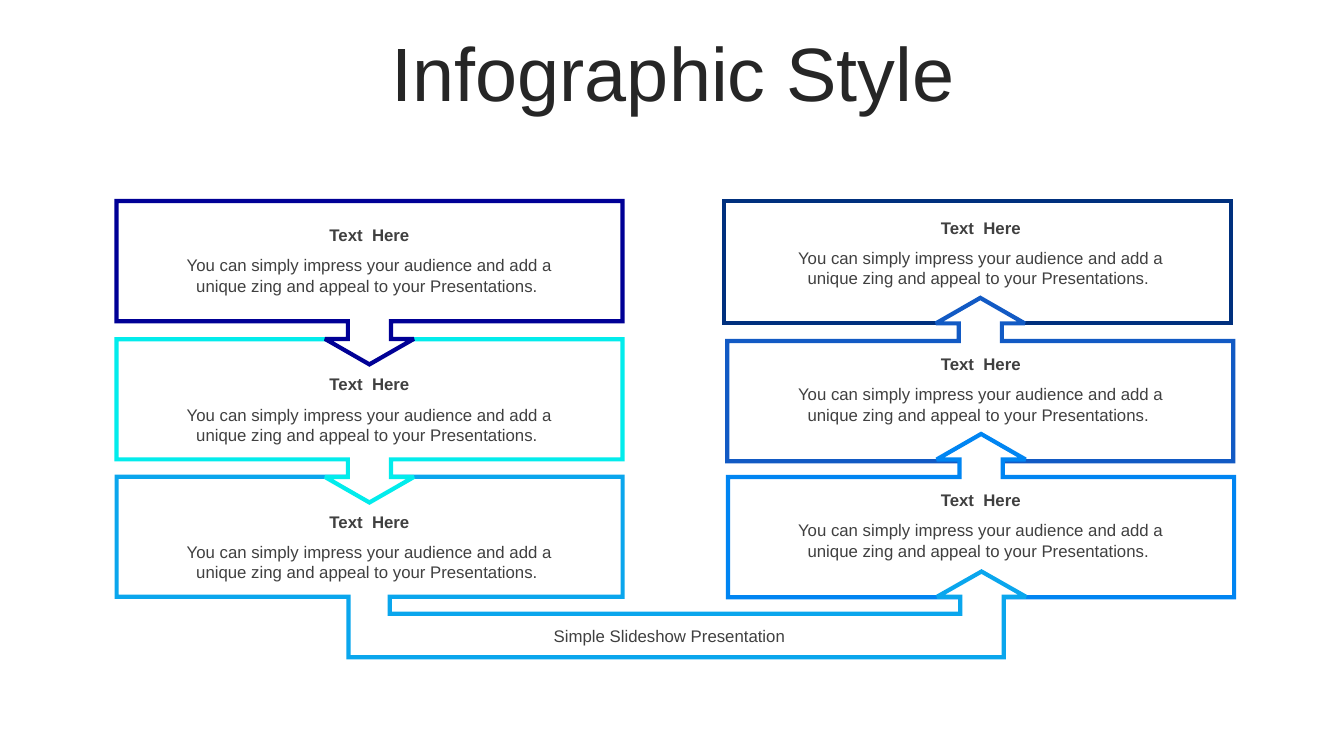
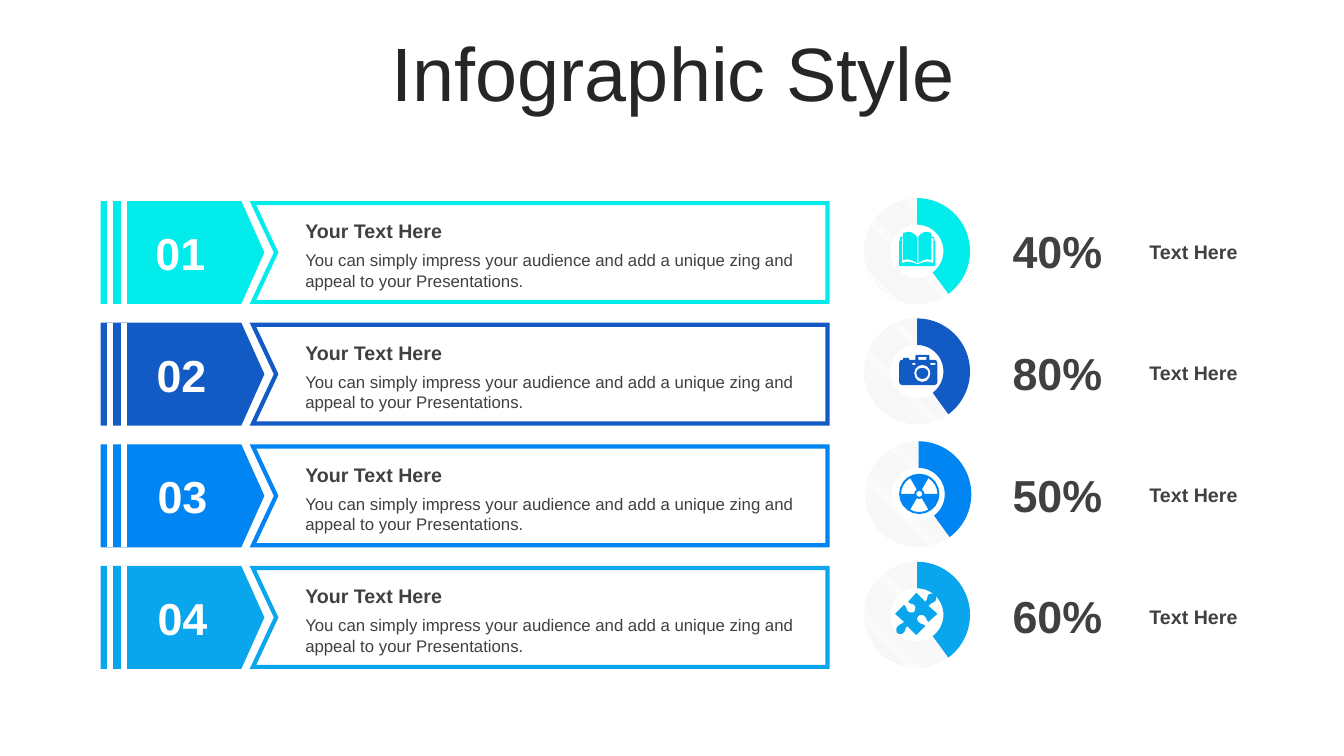
from math import cos, pi, sin

from pptx import Presentation
from pptx.chart.data import CategoryChartData
from pptx.dml.color import RGBColor
from pptx.enum.chart import XL_CHART_TYPE as CHART
from pptx.enum.dml import MSO_PATTERN as PATTERN
from pptx.enum.shapes import MSO_SHAPE as SHAPE
from pptx.enum.text import MSO_ANCHOR as ANCHOR, MSO_AUTO_SIZE as AUTO_SIZE, PP_ALIGN as ALIGN
from pptx.oxml import parse_xml
from pptx.oxml.ns import nsdecls, qn
from pptx.util import Inches, Pt

CELL = Inches(0.1)
COLUMNS, ROWS = 133.33, 75
FONT = "Arial"
TITLE_INK, INK, WHITE, GREY = "262626", "404040", "FFFFFF", "D9D9D9"
NAVY, DEEP, ROYAL, AZURE, SKY, CYAN = "000096", "00307E", "125AC4", "0085F2", "0AA6ED", "02ECEC"

BODY = "You can simply impress your audience and add a unique zing and appeal to your Presentations. "
BOX_WIDTH, CALLOUT_HEIGHT = 50.2, 16.2
LEFT_TEXTS, RIGHT_TEXTS = (21.8, 36.6, 50.25), (21.1, 34.6, 48.1)
BAND_TOP, BAND_PITCH, BAND_HEIGHT = 20.15, 12.07, 9.8

BRIDGE = ("M0 0 L502 0 L502 119 L271 119 L271 136 L837 136 L837 119 L814 119 L858 94 "
          "L902 119 L880 119 L880 179 L230 179 L230 119 L0 119")
BANNER = "M0 0 L570 0 L570 98 L0 98 L23 49"
BOOK = ("M18 32 L19 32 C25 30 27 28 34 31 L34 6 L32 6 L32 28 C28 26 23 28 19 31 L19 5 "
        "C21 2 24 0 27 0 C28 0 30 1 32 1 L32 5 L35 5 L35 9 L36 9 L36 34 L0 34 L0 9 L1 9 "
        "L1 5 L4 5 L4 1 C6 1 8 0 9 0 C13 0 15 2 18 5 L18 31 C13 28 8 26 4 28 L4 6 L3 6 "
        "L3 31 C9 28 12 30 18 32")
CAMERA = ("M23 13 C26 13 29 15 29 18 C29 22 26 24 23 24 C20 24 17 22 17 18 C17 15 20 13 23 13 "
          "M23 10 C18 10 15 14 15 18 C15 23 18 27 23 27 C28 27 31 23 31 18 C31 14 28 10 23 10 "
          "M13 8 L13 10 L16 10 L16 8 M31 8 L31 10 L36 10 L36 8 M19 2 L19 5 L27 5 L27 2 "
          "M17 0 L29 0 L30 1 L30 5 L35 5 C37 5 38 7 38 9 L38 27 C38 28 37 30 35 30 L3 30 "
          "C1 30 0 28 0 27 L0 9 C0 7 1 5 3 5 L4 5 L4 3 L10 3 L10 5 L16 5 L16 1")
PUZZLE = ("M40 2 C41 4 41 6 40 8 C38 11 36 9 33 13 L42 21 L33 29 C30 27 32 25 29 23 "
          "C27 21 25 22 23 23 C22 24 21 27 23 29 C26 32 27 30 30 33 L21 42 L12 33 "
          "C9 36 11 37 9 39 C7 42 4 41 2 40 C1 38 1 35 2 34 C4 31 6 32 9 29 L0 21 L9 12 "
          "C12 15 11 17 13 19 C15 20 18 20 19 19 C20 17 21 14 19 12 C16 10 15 12 13 9 "
          "L21 0 L30 9 C33 6 31 5 33 2 C35 0 38 1 40 2")


def cells(*lengths):
    """Turn grid columns or rows into slide lengths."""
    return [round(length * CELL) for length in lengths]


def rgb(code):
    """Return the colour for a hex string."""
    return RGBColor.from_string(code)


def paint(shape, fill, line=None):
    """Give a shape a flat fill and a mitred 3 pt outline, or none."""
    shape.shadow.inherit = False
    shape.fill.solid()
    shape.fill.fore_color.rgb = rgb(fill)
    if line is None:
        shape.line.fill.background()
        return
    shape.line.color.rgb = rgb(line)
    shape.line.width = Pt(3)
    outline = shape.element.spPr.find(qn("a:ln"))
    outline.append(parse_xml(f'<a:miter {nsdecls("a")} lim="800000"/>'))


def add_block(slide, kind, at, fill, line, adjustments=(), rotation=0):
    """Add a preset shape at a grid position."""
    block = slide.shapes.add_shape(kind, *cells(*at))
    for index, value in enumerate(adjustments):
        block.adjustments[index] = value
    block.rotation = rotation
    paint(block, fill, line)


def curve(start, numbers, steps=3):
    """Sample a cubic curve from its start and six further coordinates."""
    corners = [start, *zip(numbers[::2], numbers[1::2])]
    for step in range(1, steps + 1):
        t = step / steps
        weights = ((1 - t) ** 3, 3 * t * (1 - t) ** 2, 3 * t * t * (1 - t), t ** 3)
        yield tuple(sum(w * c[axis] for w, c in zip(weights, corners)) for axis in (0, 1))


def contours(drawing):
    """Turn a drawing of moves, lines and curves into lists of points."""
    outlines = []
    for contour in drawing.split("M")[1:]:
        points = []
        for part in contour.replace("C", "|C").replace("L", "|").split("|"):
            numbers = [float(number) for number in part.strip("C ").split()]
            points += curve(points[-1], numbers) if part.startswith("C") else [tuple(numbers)]
        outlines.append(points)
    return outlines


def arc(radius, start, end, steps):
    """Return points on an arc about the centre of the trefoil."""
    angles = [start + (end - start) * step / steps for step in range(steps + 1)]
    return [(20 + radius * cos(angle), 20 + radius * sin(angle)) for angle in angles]


def trefoil():
    """Return a disc with a hub and three blades cut out."""
    starts = (pi / 3, pi, 5 * pi / 3)
    blades = [arc(18, a, a + pi / 3, 4) + arc(5, a + pi / 3, a, 2) for a in starts]
    return [arc(20, 0, 2 * pi, 20), arc(3, 0, 2 * pi, 8), *blades]


def add_outline(slide, left, top, outlines, fill, line=None):
    """Draw closed outlines, given in tenths of a cell, from a grid position."""
    placed = [[cells(left + x / 10, top + y / 10) for x, y in points] for points in outlines]
    builder = slide.shapes.build_freeform(*placed[0][0], scale=1.0)
    for index, points in enumerate(placed):
        if index:
            builder.move_to(*points[0])
        builder.add_line_segments(points[1:], close=True)
    paint(builder.convert_to_shape(), fill, line)


def style(frame, size, color, bold=False, align=ALIGN.CENTER, anchor=ANCHOR.TOP):
    """Format the single paragraph of a text frame."""
    frame.word_wrap = True
    frame.auto_size = AUTO_SIZE.NONE
    frame.vertical_anchor = anchor
    paragraph = frame.paragraphs[0]
    paragraph.alignment = align
    font = paragraph.runs[0].font
    font.name, font.size, font.bold = FONT, Pt(size), bold
    font.color.rgb = rgb(color)
    return paragraph


def add_text(slide, at, wording, size=12, color=INK, **look):
    """Add a text box at a grid position."""
    frame = slide.shapes.add_textbox(*cells(*at)).text_frame
    frame.text = wording
    style(frame, size, color, **look)


def add_slide(deck, heading):
    """Add a title-only slide with the shared title style."""
    slide = deck.slides.add_slide(deck.slide_layouts[5])
    title = slide.shapes.title
    title.left, title.top, title.width, title.height = cells(3.5, 3.7, 126.6, 7.9)
    title.text_frame.text = heading
    paragraph = style(title.text_frame, 54, TITLE_INK, anchor=ANCHOR.MIDDLE)
    paragraph.line_spacing = 0.9
    paragraph.space_before = Pt(10)
    return slide


def add_ring(slide, at, color, plot_left, plot_top):
    """Add a doughnut chart with one coloured and one hatched part."""
    shares = CategoryChartData()
    shares.categories = ["1", "2"]
    shares.add_series("Series 1", (40, 60))
    chart = slide.shapes.add_chart(CHART.DOUGHNUT, *cells(*at), shares).chart
    chart.has_legend = chart.has_title = False
    chart.font.name, chart.font.size = FONT, Pt(18)
    chart.font.color.rgb = rgb("000000")
    value, rest = (chart.plots[0].series[0].points[index].format for index in (0, 1))
    value.fill.solid()
    value.fill.fore_color.rgb = rgb(color)
    rest.fill.patterned()
    rest.fill.pattern = PATTERN.LIGHT_DOWNWARD_DIAGONAL
    rest.fill.fore_color.rgb = rgb(GREY)
    rest.fill.back_color.rgb = rgb(WHITE)
    for part in (value, rest):
        part.line.fill.background()
    area = chart.element.find(".//" + qn("c:plotArea"))
    area.find(".//" + qn("c:holeSize")).set("val", "75")
    for layout in area.findall(qn("c:layout")):
        area.remove(layout)
    places = {"x": plot_left, "y": plot_top, "w": 0.976, "h": 0.942}
    settings = '<c:layoutTarget val="inner"/><c:xMode val="edge"/><c:yMode val="edge"/>'
    settings += "".join(f'<c:{key} val="{share}"/>' for key, share in places.items())
    area.insert(0, parse_xml(f'<c:layout {nsdecls("c")}><c:manualLayout>{settings}'
                             '</c:manualLayout></c:layout>'))


def add_callout(slide, left, top, color, rotation=0):
    """Add a white arrow callout with a coloured outline."""
    add_block(slide, SHAPE.DOWN_ARROW_CALLOUT, (left, top, BOX_WIDTH, CALLOUT_HEIGHT),
              WHITE, color, (0.264, 0.272, 0.156, 0.736), rotation)


def build_flow(deck):
    """Build the slide of boxes that lead down, across and up."""
    slide = add_slide(deck, "Infographic Style")
    add_block(slide, SHAPE.RECTANGLE, (71.85, 19.95, 50.3, 12.1), WHITE, DEEP)
    add_callout(slide, 72.15, 29.55, ROYAL, 180)
    add_callout(slide, 72.23, 43.05, AZURE, 180)
    add_outline(slide, 11.57, 47.3, contours(BRIDGE), WHITE, SKY)
    add_callout(slide, 11.55, 33.65, CYAN)
    add_callout(slide, 11.55, 19.95, NAVY)
    for left, tops in ((15.9, LEFT_TEXTS), (76.55, RIGHT_TEXTS)):
        for top in tops:
            add_text(slide, (left, top, 41.5, 3), "Text  Here", bold=True)
            add_text(slide, (left, top + 3.02, 41.5, 5), BODY)
    add_text(slide, (48.6, 61.4, 36.1, 3.3), "Simple Slideshow Presentation ", anchor=ANCHOR.MIDDLE)


def add_band(slide, top, number, color):
    """Add a numbered band with its heading and body."""
    add_outline(slide, 25.1, top, contours(BANNER), WHITE, color)
    add_block(slide, SHAPE.PENTAGON, (10.2, top, 15.8, BAND_HEIGHT), color, color, (0.224,))
    for left in (10.8, 12.2):
        add_block(slide, SHAPE.RECTANGLE, (left, top, 0.2, BAND_HEIGHT), WHITE, WHITE)
    add_text(slide, (13.7 + 0.1 * min(number, 3), top + 2.2, 8.2, 5.4), f"{number:02}", 32, WHITE,
             bold=True, anchor=ANCHOR.MIDDLE)
    add_text(slide, (29.3, top + 1.1, 50.5, 3.4), "Your Text Here", 14,
             bold=True, align=ALIGN.LEFT)
    add_text(slide, (29.3, top + 4.17, 50.5, 5), BODY, align=ALIGN.LEFT)


def build_shares(deck):
    """Build the slide of numbered bands with rings and percentages."""
    slide = add_slide(deck, "Infographic Style")
    bands = (
        (CYAN, "40%", (0, 0.036), contours(BOOK), (89.2, 23)),
        (ROYAL, "80%", (0, 0.024), contours(CAMERA), (89.2, 35.2)),
        (AZURE, "50%", (0.012, 0.034), trefoil(), (89.2, 47)),
        (SKY, "60%", (0, 0.024), contours(PUZZLE), (88.8, 58.8)),
    )
    for row, (color, share, plot, icon, corner) in enumerate(bands):
        top = BAND_TOP + row * BAND_PITCH
        add_band(slide, top, row + 1, color)
        add_ring(slide, (85.7, top - 0.9, 10.8, 11.2), color, *plot)
        add_outline(slide, *corner, icon, color)
        add_text(slide, (99, top + 1.53, 11.8, 6.4), share, 32, bold=True, anchor=ANCHOR.MIDDLE)
        add_text(slide, (112.5, top + 3.13, 11.8, 3.4), "Text Here", 14, bold=True)


def main():
    """Build and save the deck."""
    deck = Presentation()
    deck.slide_width, deck.slide_height = cells(COLUMNS, ROWS)
    build_flow(deck)
    build_shares(deck)
    deck.save("out.pptx")


main()
